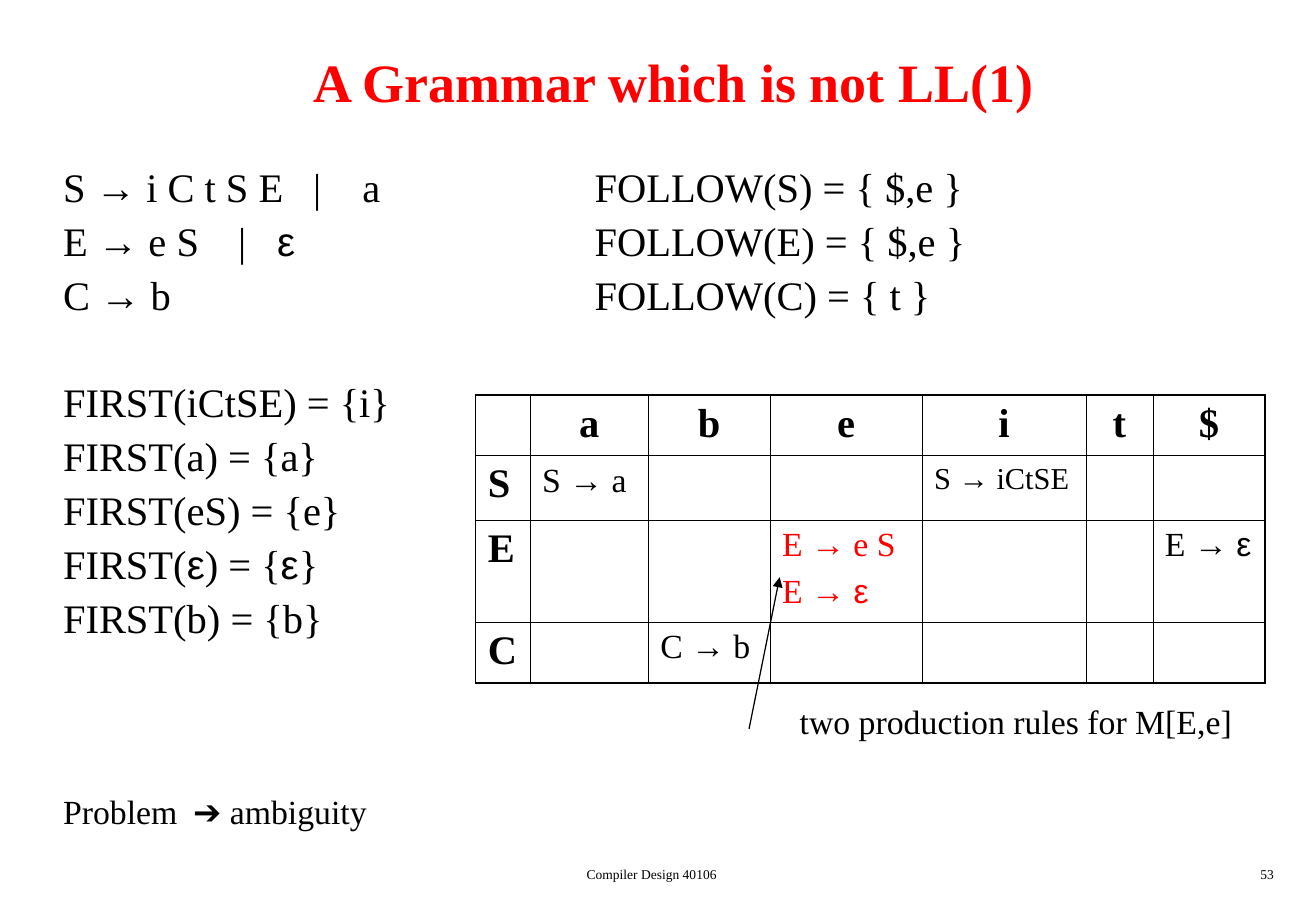
from itertools import groupby

from lxml.etree import SubElement
from pptx import Presentation
from pptx.dml.color import RGBColor
from pptx.enum.shapes import MSO_CONNECTOR as Connector
from pptx.enum.text import MSO_ANCHOR as Anchor, PP_ALIGN as Align
from pptx.oxml.ns import qn
from pptx.util import Cm, Pt

BLACK, RED = "000000", "FF0000"
SERIF, SANS = "Times New Roman", "Arial"
SANS_SYMBOLS = "→➔ε"

GRAMMAR = ["S → i C t S E\t|\ta", "E → e S\t|\tε", "C → b"]
GRAMMAR_TABS = [(5.23, 6.26), (3.66, 4.48), ()]
FOLLOW_SETS = ["FOLLOW(S) = { $,e }", "FOLLOW(E) = { $,e }", "FOLLOW(C) = { t }"]
FIRST_SETS = ["FIRST(iCtSE) = {i}", "FIRST(a) = {a}", "FIRST(eS) = {e}",
              "FIRST(ε) = {ε}", "FIRST(b) = {b}"]

TERMINALS = ["a", "b", "e", "i", "t", "$"]
NONTERMINALS = ["S", "E", "C"]
COLUMN_WIDTHS = [1.14, 2.47, 2.55, 3.18, 3.43, 1.4, 2.35]
ROW_HEIGHTS = [1.27, 1.35, 2.13, 1.27]
# (nonterminal, terminal): production rules, size, colour
ENTRIES = {
    ("S", "a"): (["S → a"], 20, BLACK),
    ("S", "i"): (["S → iCtSE"], 18, BLACK),
    ("E", "e"): (["E → e S", "E → ε"], 20, RED),
    ("E", "$"): (["E → ε"], 20, BLACK),
    ("C", "b"): (["C → b"], 20, BLACK),
}


def color(hex_string):
    return RGBColor.from_string(hex_string)


def add_tabs(para, stops):
    tab_list = SubElement(para._p.get_or_add_pPr(), qn("a:tabLst"))
    for stop in stops:
        SubElement(tab_list, qn("a:tab"), pos=str(Cm(stop)), algn="l")


def add_runs(para, text, size, hex_color, bold):
    """Set grammar symbols in the sans font and everything else in the serif."""
    for is_symbol, chars in groupby(text, lambda char: char in SANS_SYMBOLS):
        span = para.add_run()
        span.text = "".join(chars)
        span.font.name = SANS if is_symbol else SERIF
        span.font.size = Pt(size)
        span.font.bold = bold
        span.font.color.rgb = color(hex_color)


def fill_text(frame, lines, size, hex_color=BLACK, bold=False,
              align=Align.LEFT, spacing=None, tabs=()):
    for index, line in enumerate(lines):
        para = frame.add_paragraph() if index else frame.paragraphs[0]
        if index < len(tabs) and tabs[index]:
            add_tabs(para, tabs[index])
        para.alignment = align
        if spacing:
            para.line_spacing = spacing
        if index:
            para.space_before = Pt(size / 4)
        add_runs(para, line, size, hex_color, bold)


def add_text(page, left, top, width, height, lines, size, anchor=Anchor.TOP, **style):
    box = page.shapes.add_textbox(Cm(left), Cm(top), Cm(width), Cm(height))
    box.text_frame.word_wrap = True
    box.text_frame.vertical_anchor = anchor
    fill_text(box.text_frame, lines, size, **style)


def add_cell_border(cell, side, width):
    line = SubElement(cell._tc.get_or_add_tcPr(), qn(f"a:ln{side}"), w=str(Pt(width)))
    fill = SubElement(line, qn("a:solidFill"))
    SubElement(fill, qn("a:srgbClr"), val=BLACK)


def add_parsing_table(page, left, top):
    rows, columns = len(ROW_HEIGHTS), len(COLUMN_WIDTHS)
    table = page.shapes.add_table(
        rows, columns, Cm(left), Cm(top),
        Cm(sum(COLUMN_WIDTHS)), Cm(sum(ROW_HEIGHTS))).table
    table.first_row = table.horz_banding = False
    for column, width in zip(table.columns, COLUMN_WIDTHS):
        column.width = Cm(width)
    for row, height in zip(table.rows, ROW_HEIGHTS):
        row.height = Cm(height)

    for row in range(rows):
        for column in range(columns):
            cell = table.cell(row, column)
            outer_sides = {"L": column == 0, "R": column == columns - 1,
                           "T": row == 0, "B": row == rows - 1}
            for side, is_outer in outer_sides.items():
                add_cell_border(cell, side, 1.08 if is_outer else 0.45)
            cell.fill.background()

    for column, terminal in enumerate(TERMINALS, 1):
        fill_text(table.cell(0, column).text_frame, [terminal], 24,
                  bold=True, align=Align.CENTER)
    for row, nonterminal in enumerate(NONTERMINALS, 1):
        fill_text(table.cell(row, 0).text_frame, [nonterminal], 24, bold=True)
    for (nonterminal, terminal), (rules, size, hex_color) in ENTRIES.items():
        cell = table.cell(NONTERMINALS.index(nonterminal) + 1,
                          TERMINALS.index(terminal) + 1)
        fill_text(cell.text_frame, rules, size, hex_color)


def add_arrow(page, start_x, start_y, end_x, end_y):
    arrow = page.shapes.add_connector(
        Connector.STRAIGHT, Cm(start_x), Cm(start_y), Cm(end_x), Cm(end_y))
    arrow.line.color.rgb = color(BLACK)
    arrow.line.width = Pt(0.75)
    SubElement(arrow.line._get_or_add_ln(), qn("a:tailEnd"), type="triangle")
    SubElement(arrow._element.spPr, qn("a:effectLst"))


def main():
    deck = Presentation()
    deck.slide_width, deck.slide_height = Cm(27.53), Cm(19.05)
    page = deck.slides.add_slide(deck.slide_layouts[6])

    add_text(page, 8.48, 17.98, 10.31, 0.64, ["Compiler Design 40106"], 8,
             align=Align.CENTER)
    add_text(page, 21.16, 17.98, 5.74, 0.64, ["53"], 8, align=Align.RIGHT)
    add_text(page, 1.07, 0.43, 26.04, 2.54, ["A Grammar which is not LL(1)"], 32,
             anchor=Anchor.MIDDLE, hex_color=RED, bold=True, align=Align.CENTER)

    add_text(page, 1.07, 3.38, 10, 3.6, GRAMMAR, 24, spacing=0.9, tabs=GRAMMAR_TABS)
    add_text(page, 12.19, 3.38, 12, 3.6, FOLLOW_SETS, 24, spacing=0.9)
    add_text(page, 1.07, 7.88, 8.8, 5.8, FIRST_SETS, 24, spacing=0.9)
    add_text(page, 16.48, 14.63, 10.5, 1.1, ["two production rules for M[E,e]"], 20,
             spacing=0.9)
    add_text(page, 1.07, 16.51, 10, 1.1, ["Problem\t➔ ambiguity"], 20,
             spacing=0.9, tabs=[(2.72,)])

    add_parsing_table(page, 9.95, 8.26)
    add_arrow(page, 15.67, 15.24, 16.31, 12.07)
    deck.save("out.pptx")


if __name__ == "__main__":
    main()
